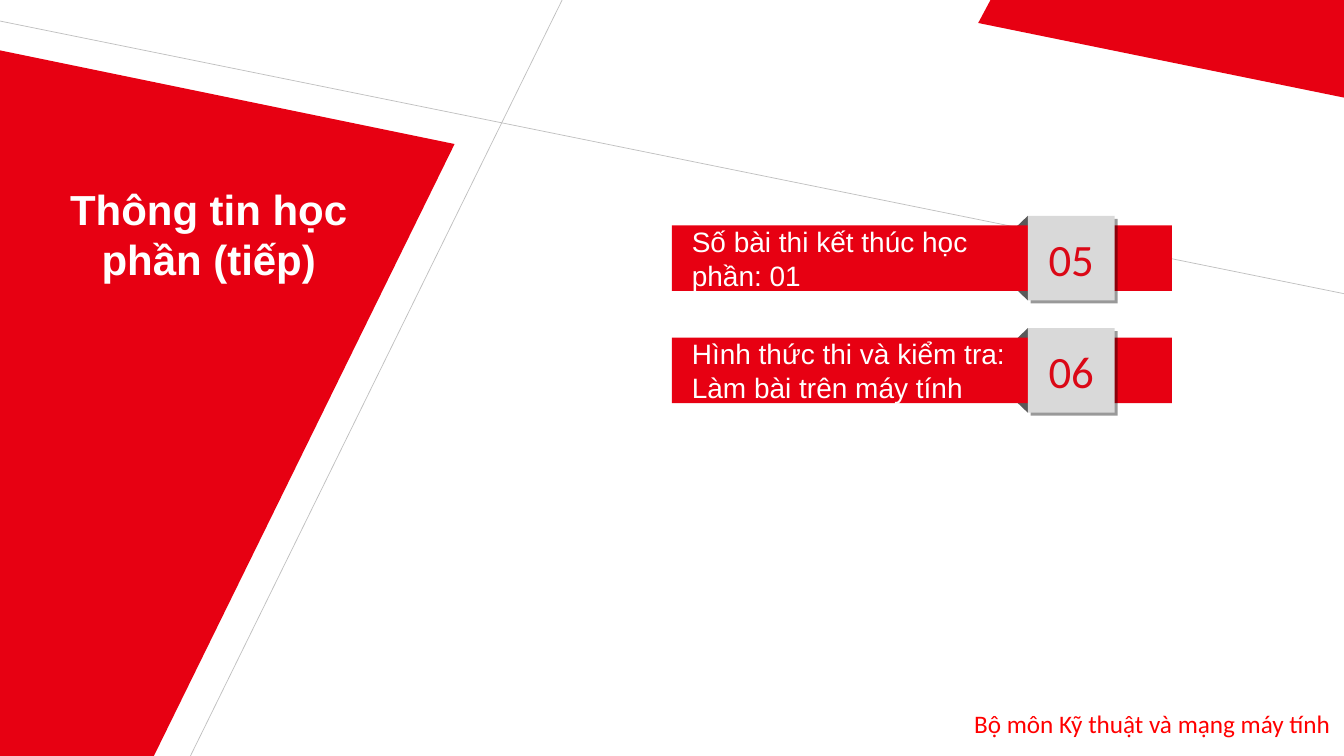
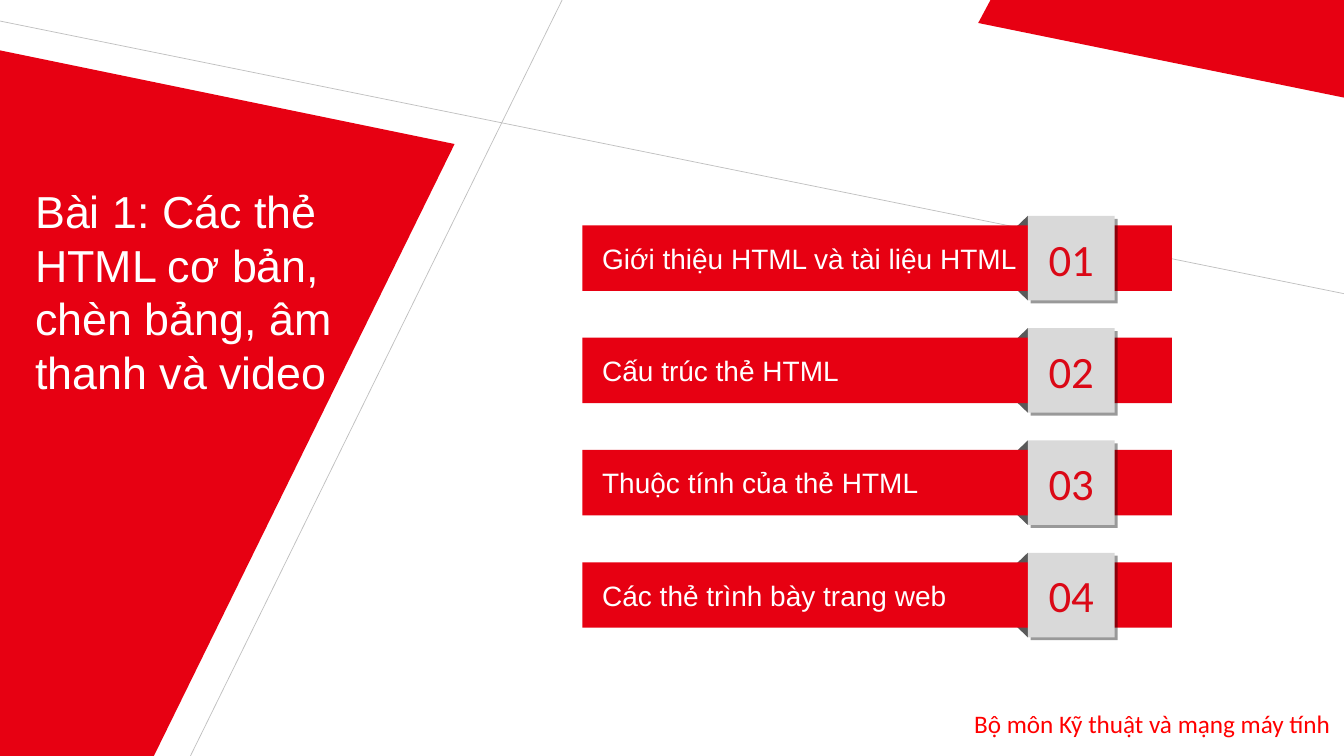
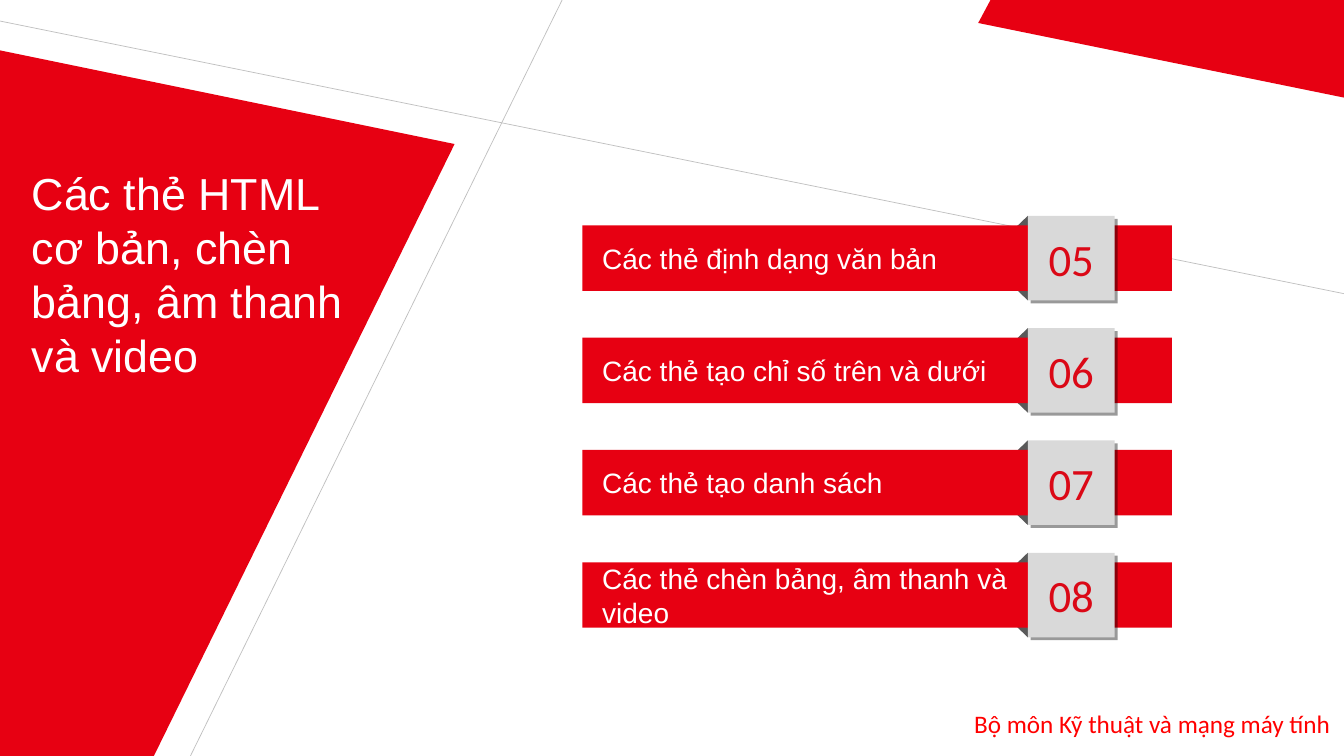
from lxml.etree import SubElement
from pptx import Presentation
from pptx.dml.color import RGBColor
from pptx.enum.shapes import MSO_CONNECTOR, MSO_SHAPE
from pptx.enum.text import MSO_ANCHOR, MSO_AUTO_SIZE, PP_ALIGN
from pptx.oxml.ns import qn
from pptx.util import Cm, Pt

RED = RGBColor(0xE7, 0x00, 0x12)
NUMBER_RED = RGBColor(0xDB, 0x08, 0x16)
FOOTER_RED = RGBColor(0xFF, 0x00, 0x00)
WHITE = RGBColor(0xFF, 0xFF, 0xFF)
BADGE_GREY = RGBColor(0xD9, 0xD9, 0xD9)
FOLD_GREY = RGBColor(0x59, 0x59, 0x59)
LINE_GREY = RGBColor(0xBF, 0xBF, 0xBF)

PAGE_WIDTH, PAGE_HEIGHT = 33.88, 19.05
ROW_TOP, ROW_PITCH = 5.44, 2.83
BADGE_LEFT, BADGE_WIDTH, BADGE_HEIGHT = 25.91, 2.19, 2.13
BAR_RIGHT, BAR_HEIGHT = 29.54, 1.65
FOLD_WIDTH, FOLD_HEIGHT = 0.48, 0.46
WIDE_BAR, NARROW_BAR = 14.68, 16.94

LEFT_PANEL = [(0, 1.27), (11.46, 3.63), (3.88, PAGE_HEIGHT), (0, PAGE_HEIGHT)]
CORNER_PANEL = [(24.97, 0), (PAGE_WIDTH, 0), (PAGE_WIDTH, 2.46), (24.66, 0.58)]
GUIDES = [(4.8, PAGE_HEIGHT, 14.17, 0), (0, 0.53, PAGE_WIDTH, 7.4)]
FOOTER = "Bộ môn Kỹ thuật và mạng máy tính"


def paint(shape, color):
    """Give a shape a plain fill with no outline and no shadow."""
    shape.fill.solid()
    shape.fill.fore_color.rgb = color
    shape.line.fill.background()
    shape.shadow.inherit = False


def write(frame, lines, size, color, font="Arial", bold=False, align=PP_ALIGN.LEFT):
    for index, line in enumerate(lines):
        para = frame.add_paragraph() if index else frame.paragraphs[0]
        para.alignment = align
        span = para.add_run()
        span.text = line
        span.font.name = font
        span.font.size = Pt(size)
        span.font.bold = bold
        span.font.color.rgb = color


def set_insets(frame, left, top, right, bottom):
    frame.margin_left, frame.margin_top = Cm(left), Cm(top)
    frame.margin_right, frame.margin_bottom = Cm(right), Cm(bottom)


def add_panel(page, corners):
    points = [(Cm(x), Cm(y)) for x, y in corners]
    builder = page.shapes.build_freeform(*points[0])
    builder.add_line_segments(points[1:], close=True)
    panel = builder.convert_to_shape()
    paint(panel, RED)
    return panel


def add_guide(page, ends):
    guide = page.shapes.add_connector(MSO_CONNECTOR.STRAIGHT, *map(Cm, ends))
    guide.line.color.rgb = LINE_GREY
    guide.line.width = Pt(0.5)
    SubElement(guide.element.spPr, qn("a:effectLst"))
    return guide


def add_footer(page):
    box = page.shapes.add_textbox(Cm(24.31), Cm(17.73), Cm(9.53), Cm(1.02))
    box.text_frame.word_wrap = False
    box.text_frame.auto_size = MSO_AUTO_SIZE.SHAPE_TO_FIT_TEXT
    write(box.text_frame, [FOOTER], 18, FOOTER_RED, "Calibri")
    return box


def move_backdrop_to_layout(page, layout):
    """Draw the shared backdrop with the page's tools, then hand it to the layout."""
    for placeholder in list(layout.placeholders):
        layout.shapes.element.remove(placeholder.element)
    backdrop = [add_panel(page, LEFT_PANEL)]
    backdrop += [add_guide(page, ends) for ends in GUIDES]
    backdrop += [add_panel(page, CORNER_PANEL), add_footer(page)]
    for shape in backdrop:
        layout.shapes.element.append(shape.element)


def add_title(page, text, left, top, height, size, bold, align):
    box = page.shapes.add_textbox(Cm(left), Cm(top), Cm(9.25), Cm(height))
    box.text_frame.word_wrap = True
    box.text_frame.auto_size = MSO_AUTO_SIZE.SHAPE_TO_FIT_TEXT
    write(box.text_frame, [text], size, WHITE, bold=bold, align=align)


def add_fold(page, top, pointing_down):
    """Add the shaded corner where the badge wraps behind the bar."""
    fold = page.shapes.add_shape(
        MSO_SHAPE.ISOSCELES_TRIANGLE, Cm(BADGE_LEFT - FOLD_WIDTH), Cm(top),
        Cm(FOLD_WIDTH), Cm(FOLD_HEIGHT))
    fold.adjustments[0] = 0 if pointing_down else 1
    fold.rotation = 180 if pointing_down else 0
    paint(fold, FOLD_GREY)


def add_block(page, left, top, width, height, color):
    block = page.shapes.add_shape(
        MSO_SHAPE.RECTANGLE, Cm(left), Cm(top), Cm(width), Cm(height))
    paint(block, color)
    block.text_frame.word_wrap = True
    block.text_frame.vertical_anchor = MSO_ANCHOR.MIDDLE
    return block


def add_drop_shadow(shape):
    effects = shape.element.spPr.find(qn("a:effectLst"))
    shadow = SubElement(effects, qn("a:outerShdw"), blurRad="0", dist=str(Pt(3)),
                        dir="2700000", algn="tl", rotWithShape="0")
    color = SubElement(shadow, qn("a:srgbClr"), val="000000")
    SubElement(color, qn("a:alpha"), val="40000")


def add_row(page, top, bar_left, number, lines):
    add_fold(page, top + BADGE_HEIGHT - FOLD_HEIGHT, True)
    add_fold(page, top, False)

    bar_top = top + (BADGE_HEIGHT - BAR_HEIGHT) / 2
    bar = add_block(page, bar_left, bar_top, BAR_RIGHT - bar_left, BAR_HEIGHT, RED)
    set_insets(bar.text_frame, 0.5, 0.13, 0.25, 0.13)
    write(bar.text_frame, lines, 20, WHITE)

    badge = add_block(page, BADGE_LEFT, top, BADGE_WIDTH, BADGE_HEIGHT, BADGE_GREY)
    add_drop_shadow(badge)
    set_insets(badge.text_frame, 0, 0, 0, 0)
    write(badge.text_frame, [f"{number:02}"], 32, NUMBER_RED, "Calibri",
          align=PP_ALIGN.CENTER)


def add_rows(page, bar_left, first_number, rows):
    for index, lines in enumerate(rows):
        add_row(page, ROW_TOP + index * ROW_PITCH, bar_left, first_number + index, lines)


def main():
    deck = Presentation()
    deck.slide_width, deck.slide_height = Cm(PAGE_WIDTH), Cm(PAGE_HEIGHT)
    blank = deck.slide_layouts[6]
    course, lesson, lesson_more = [deck.slides.add_slide(blank) for _ in range(3)]
    move_backdrop_to_layout(course, blank)

    add_title(course, "Thông tin học phần (tiếp)", 0.64, 4.5, 2.8, 30, True,
              PP_ALIGN.CENTER)
    add_rows(course, NARROW_BAR, 5, [
        ["Số bài thi kết thúc học", "phần: 01"],
        ["Hình thức thi và kiểm tra:", "Làm bài trên máy tính"],
    ])

    add_title(lesson, "Bài 1: Các thẻ HTML cơ bản, chèn bảng, âm thanh và video",
              0.64, 4.5, 5.7, 32, False, PP_ALIGN.LEFT)
    add_rows(lesson, WIDE_BAR, 1, [
        ["Giới thiệu HTML và tài liệu HTML"],
        ["Cấu trúc thẻ HTML"],
        ["Thuộc tính của thẻ HTML"],
        ["Các thẻ trình bày trang web"],
    ])

    add_title(lesson_more, "Các thẻ HTML cơ bản, chèn bảng, âm thanh và video",
              0.55, 4.06, 5.7, 32, False, PP_ALIGN.LEFT)
    add_rows(lesson_more, WIDE_BAR, 5, [
        ["Các thẻ định dạng văn bản"],
        ["Các thẻ tạo chỉ số trên và dưới"],
        ["Các thẻ tạo danh sách"],
        ["Các thẻ chèn bảng, âm thanh và", "video"],
    ])

    deck.save("out.pptx")


if __name__ == "__main__":
    main()
